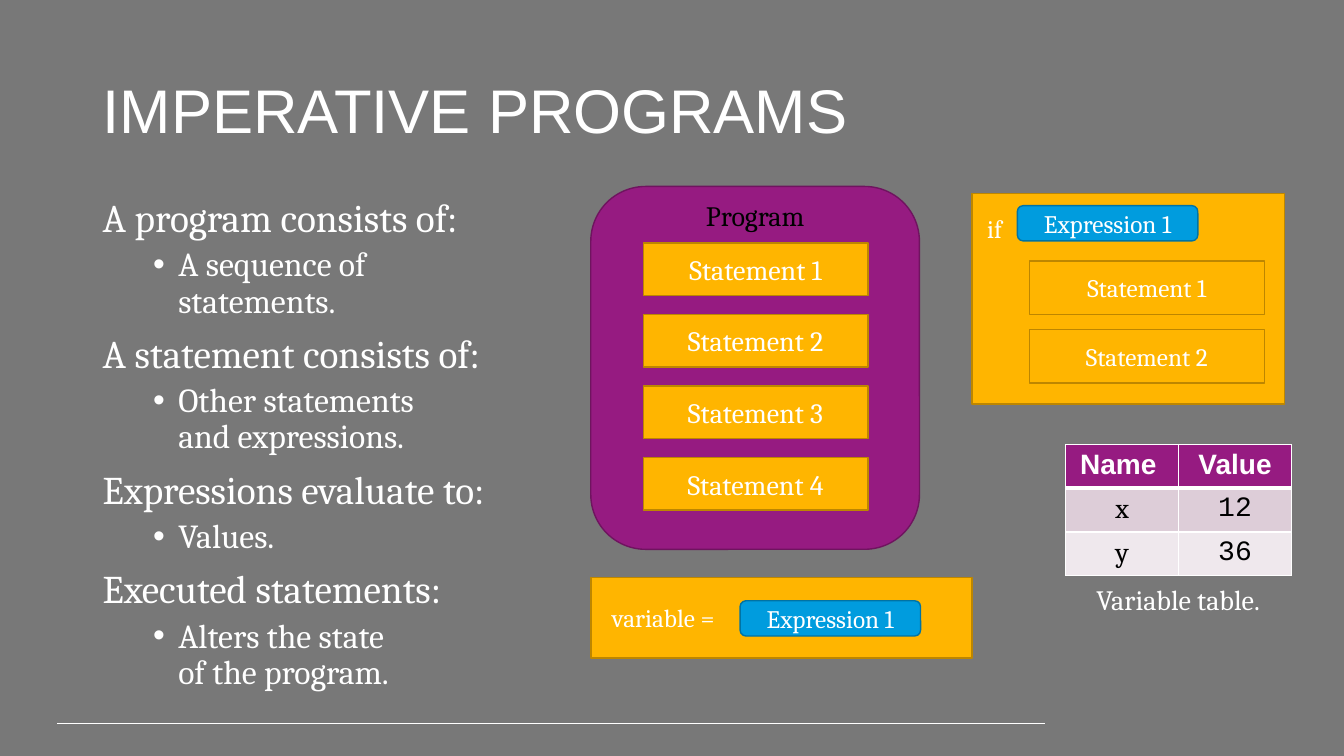
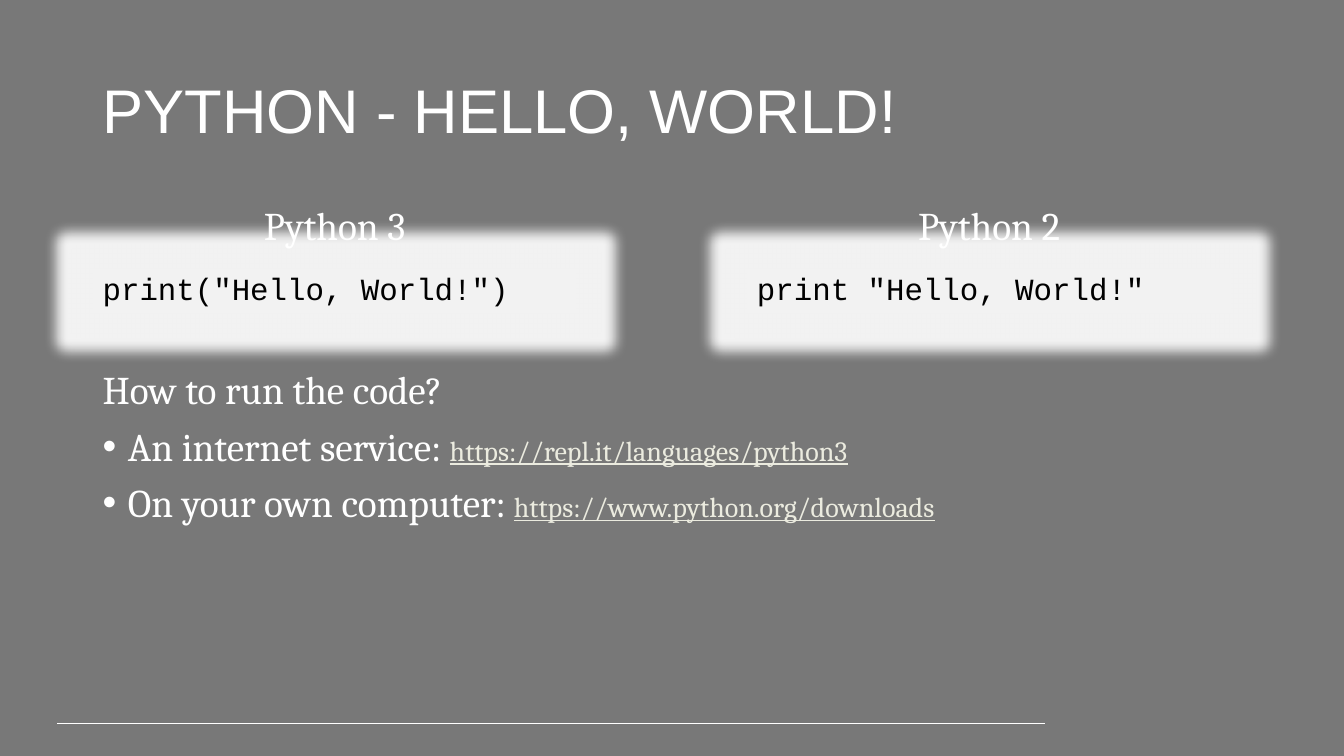
import pptx
import pptx.util
import pptx.dml.color
import pptx.enum.shapes
import pptx.enum.text
import pptx.oxml.ns
import lxml.etree

PX = 9144  # one px is a hundredth of an inch
Pt = pptx.util.Pt
rgb = pptx.dml.color.RGBColor.from_string
tag = pptx.oxml.ns.qn
Kind = pptx.enum.shapes.MSO_SHAPE
Side = pptx.enum.text.PP_ALIGN
Hold = pptx.enum.text.MSO_ANCHOR


class Theme:
    back, white, black = "787878", "FFFFFF", "000000"
    plum, plum_edge = "961B81", "6F145F"
    gold, gold_edge = "FFB500", "BD8600"
    blue, blue_edge = "009CDE", "0073A4"
    code_back, link_ink = "F2F2F2", "EBEBDF"
    bands = ["961B81", "DDCDD8", "EFE8ED"]
    title = dict(name="Arial", size=Pt(44), ink=white)
    lead = dict(name="Cambria", size=Pt(28), ink=white)
    point = dict(lead, size=Pt(24))
    label = dict(lead, size=Pt(20))
    small = dict(lead, size=Pt(18))
    link = dict(label, ink=link_ink, underline=True)
    code = dict(name="Courier New", size=Pt(22), ink=black)
    head = dict(name="Arial", size=Pt(20), ink=white, bold=True)
    cell = dict(label, ink=black, bold=False)
    value = dict(cell, name="Courier New")


def box(shapes, at, kind=None, fill=None, edge=None, **frame):
    """Add a shape, or a text box when no kind is given."""
    place = [n * PX for n in at]
    if kind is None:
        shape = shapes.add_textbox(*place)
    else:
        shape = shapes.add_shape(kind, *place)
        shape.shadow.inherit = False
        shape.fill.solid()
        shape.fill.fore_color.rgb = rgb(fill)
        if edge:
            shape.line.color.rgb = rgb(edge)
            shape.line.width = Pt(1)
        else:
            shape.line.fill.background()
    for name, value in dict(frame, word_wrap=True).items():
        setattr(shape.text_frame, name, value)
    return shape


def write(frame, *runs, bullet=None, **form):
    """Add a paragraph of (text, look) runs; bullet is its left indent in px."""
    par = frame.paragraphs[0]
    if par.runs:
        par = frame.add_paragraph()
    else:
        form.pop("space_before", None)
    if bullet:
        props = par._p.get_or_add_pPr()
        props.set("marL", str(bullet * PX))
        props.set("indent", str(-25 * PX))
        lxml.etree.SubElement(props, tag("a:buFont")).set("typeface", "Arial")
        lxml.etree.SubElement(props, tag("a:buChar")).set("char", "•")
    for name, value in dict(dict(alignment=Side.LEFT), **form).items():
        setattr(par, name, value)
    for text, look in runs:
        for row, line in enumerate(text.split("\n")):
            if row:
                par.add_line_break()
            run = par.add_run()
            run.text = line
            for name, value in look.items():
                if name == "ink":
                    run.font.color.rgb = rgb(value)
                else:
                    setattr(run.font, name, value)


deck = pptx.Presentation()
deck.slide_width, deck.slide_height = 1333 * PX, 750 * PX
mid = dict(alignment=Side.CENTER)
tight = dict(line_spacing=0.9, space_before=Pt(10))

# Shared background, title and foot line
paper = deck.slide_master.background.fill
paper.solid()
paper.fore_color.rgb = rgb(Theme.back)
for title in ["IMPERATIVE PROGRAMS", "PYTHON - HELLO, WORLD!"]:
    slide = deck.slides.add_slide(deck.slide_layouts[6])
    rule = slide.shapes.add_connector(
        pptx.enum.shapes.MSO_CONNECTOR.STRAIGHT, 57 * PX, 718 * PX, 1036 * PX, 718 * PX)
    rule.line.color.rgb = rgb(Theme.white)
    rule.line.width = Pt(0.75)
    lxml.etree.SubElement(rule._element.spPr, tag("a:effectLst"))
    head = box(slide.shapes, (92, 40, 1150, 145), vertical_anchor=Hold.MIDDLE)
    write(head.text_frame, (title, Theme.title), line_spacing=0.9)
first, second = [slide.shapes for slide in deck.slides]

gold = dict(kind=Kind.RECTANGLE, fill=Theme.gold, edge=Theme.gold_edge,
            vertical_anchor=Hold.MIDDLE)
blue = dict(kind=Kind.ROUNDED_RECTANGLE, fill=Theme.blue, edge=Theme.blue_edge,
            vertical_anchor=Hold.MIDDLE)

# Program block with its statements
group = first.add_group_shape().shapes
box(group, (586, 185, 326, 360), Kind.ROUNDED_RECTANGLE, Theme.plum, Theme.plum_edge)
for step in range(4):
    block = box(group, (638, 241 + 71 * step, 223, 52), **gold)
    write(block.text_frame, (f"Statement {step + 1}", Theme.label), **mid)
name = box(group, (677, 192, 144, 44))
write(name.text_frame, ("Program", dict(Theme.label, ink=Theme.black)), **mid)

# Outline on the left
outline = [
    ("A program consists of:", "A sequence of\nstatements."),
    ("A statement consists of:", "Other statements\nand expressions."),
    ("Expressions evaluate to:", "Values."),
    ("Executed statements:", "Alters the state\nof the program."),
]
body = box(first, (92, 192, 495, 504)).text_frame
for lead, point in outline:
    write(body, (lead, Theme.lead), **tight)
    write(body, (point, Theme.point), bullet=75, line_spacing=0.9, space_before=Pt(5))

# Assignment and if statement
assign = box(first, (586, 573, 378, 80), **gold, margin_left=21 * PX)
write(assign.text_frame, ("variable =", Theme.small))
branch = box(first, (964, 192, 310, 209), **dict(gold, vertical_anchor=Hold.TOP),
             margin_left=15 * PX)
write(branch.text_frame, ("if", Theme.small), line_spacing=1.5)
for left, top in [(734, 596), (1009, 204)]:
    term = box(first, (left, top, 179, 35), **blue)
    write(term.text_frame, ("Expression 1", Theme.small), **mid)
for step in range(2):
    block = box(first, (1021, 259 + 68 * step, 233, 53), **gold)
    write(block.text_frame, (f"Statement {step + 1}", Theme.small), **mid)

# Variable table
rows = [("Name ", "Value"), ("x", "12"), ("y", "36")]
grid = first.add_table(3, 2, 1057 * PX, 441 * PX, 224 * PX, 129 * PX).table
for r, row in enumerate(rows):
    looks = (Theme.cell, Theme.value) if r else (Theme.head, Theme.head)
    for c, (text, look) in enumerate(zip(row, looks)):
        cell = grid.cell(r, c)
        write(cell.text_frame, (text, look), **mid)
        cell.fill.solid()
        cell.fill.fore_color.rgb = rgb(Theme.bands[r])
        props = cell._tc.get_or_add_tcPr()
        for spot, side in enumerate("LRTB"):
            thick = 3 if (r, side) in [(0, "B"), (1, "T")] else 1
            edge = lxml.etree.Element(tag(f"a:ln{side}"), w=str(Pt(thick)))
            paint = lxml.etree.SubElement(edge, tag("a:solidFill"))
            lxml.etree.SubElement(paint, tag("a:srgbClr")).set("val", Theme.white)
            props.insert(spot, edge)
note = box(first, (1057, 573, 223, 44))
write(note.text_frame, ("Variable table.", Theme.label), **mid)

# Code samples with a soft glow
samples = [(92, "Python 3", 'print("Hello, World!")'),
           (741, "Python 2", 'print "Hello, World!"')]
for left, name, code in samples:
    block = box(second, (left, 267, 480, 44), Kind.RECTANGLE, Theme.code_back,
                vertical_anchor=Hold.TOP)
    write(block.text_frame, (code, Theme.code), line_spacing=0.9)
    effects = block._element.spPr.find(tag("a:effectLst"))
    glow = lxml.etree.SubElement(effects, tag("a:glow"), rad=str(25 * PX))
    lxml.etree.SubElement(glow, tag("a:srgbClr")).set("val", Theme.code_back)
    label = box(second, (left, 200, 480, 53))
    write(label.text_frame, (name, Theme.lead), **mid, line_spacing=0.9)

# Ways to run the code
ways = [("An internet service: ", "https://repl.it/languages/python3"),
        ("On your own computer: ", "https://www.python.org/downloads")]
body = box(second, (92, 363, 1150, 165)).text_frame
write(body, ("How to run the code?", Theme.lead), **tight)
for way, link in ways:
    write(body, (way, Theme.lead), (link, Theme.link), bullet=25, **tight)

deck.save("out.pptx")
